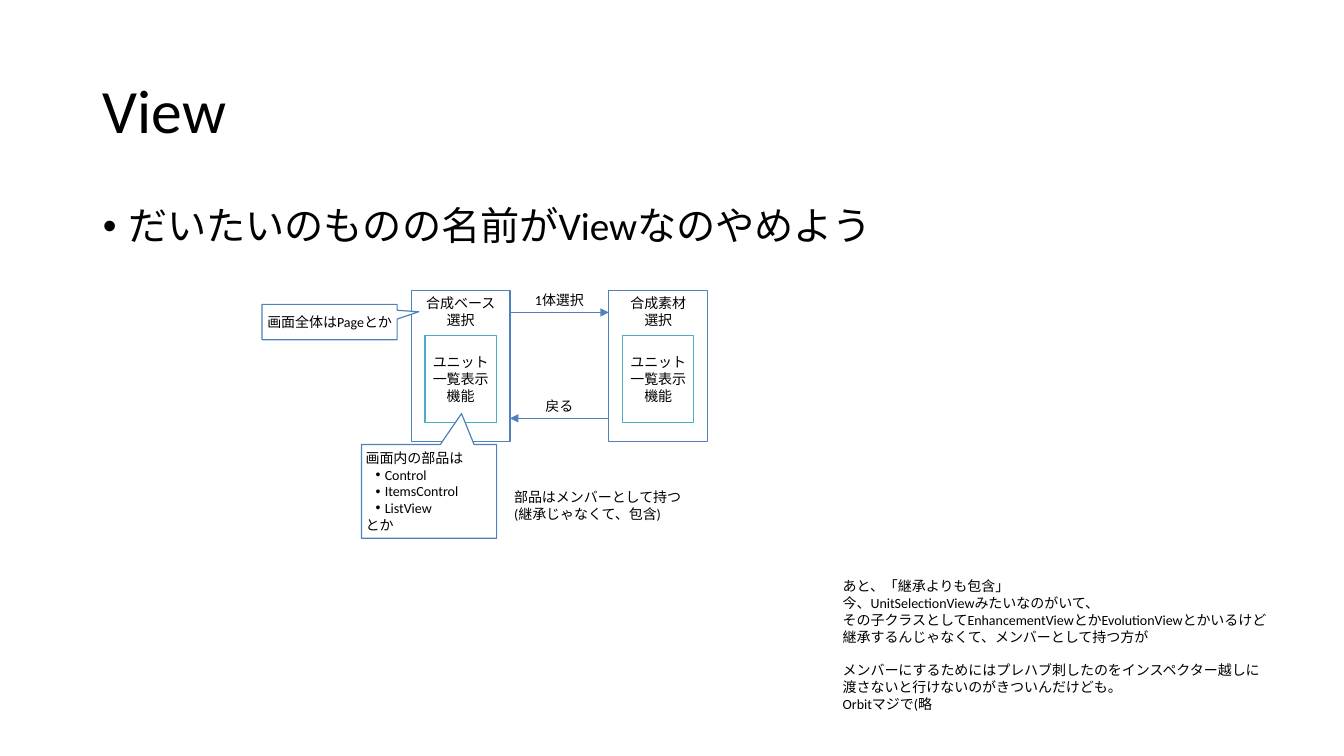
from pptx import Presentation
from pptx.dml.color import RGBColor
from pptx.enum.shapes import MSO_CONNECTOR, MSO_SHAPE
from pptx.enum.text import MSO_ANCHOR, MSO_AUTO_SIZE, PP_ALIGN
from pptx.oxml.ns import qn
from pptx.util import Inches, Pt
from lxml.etree import SubElement

deck = Presentation()
deck.slide_width, deck.slide_height = Inches(13.33), Inches(7.5)
slide = deck.slides.add_slide(deck.slide_layouts[1])
shapes = slide.shapes
hue = RGBColor.from_string
INK, PAPER, BLUE, TEAL = "000000", "FFFFFF", "4F81BD", "4BACC6"
LEFT, MID = PP_ALIGN.LEFT, PP_ALIGN.CENTER
TOP, HALF = MSO_ANCHOR.TOP, MSO_ANCHOR.MIDDLE


def area(*cells):
    """Turn percent of the slide (x, y, width, height) into lengths."""
    sides = (deck.slide_width, deck.slide_height) * 2
    return [int(side * cell / 100) for side, cell in zip(sides, cells)]


def box(kind, cells, text, line=BLUE, align=MID, anchor=HALF):
    """Add a small text box, or an outlined shape if a kind is given."""
    if kind is None:
        shape = shapes.add_textbox(*area(*cells))
    else:
        shape = shapes.add_shape(kind, *area(*cells))
        shape.shadow.inherit = False
        shape.fill.solid()
        shape.fill.fore_color.rgb = hue(PAPER)
        shape.line.color.rgb = hue(line)
        shape.line.width = Pt(0.85)
    frame = shape.text_frame
    frame.word_wrap = True
    frame.vertical_anchor = anchor
    frame.margin_left = frame.margin_right = Inches(0.04)
    frame.margin_top = frame.margin_bottom = Inches(0.04)
    frame.text = text
    for para in frame.paragraphs:
        para.alignment = align
        for run in para.runs:
            run.font.size, run.font.name = Pt(10), "Calibri"
            run.font.color.rgb = hue(INK)
    return shape


# Title and main point
title, body = slide.placeholders
for holder, cells, text, size, anchor in (
    (title, (6.9, 5.33, 86.25, 19.33), "View", 44, HALF),
    (body, (6.9, 26.67, 86.25, 63.47), "だいたいのものの名前がViewなのやめよう", 28, TOP),
):
    holder.left, holder.top, holder.width, holder.height = area(*cells)
    frame = holder.text_frame
    frame.text = text
    frame.auto_size = MSO_AUTO_SIZE.NONE
    frame.vertical_anchor = anchor
    para = frame.paragraphs[0]
    para.alignment, para.line_spacing = LEFT, 0.9
    font = para.runs[0].font
    font.size, font.name = Pt(size), "Calibri"
    font.color.rgb = hue(INK)
point = body.text_frame.paragraphs[0]
point.space_before = Pt(10)

# Two pages, one page width apart
wide, first = 7.35, 30.6
edge = first + wide
second = edge + wide
for left, name in ((first, "合成ベース\n選択"), (second, "合成素材\n選択")):
    box(MSO_SHAPE.RECTANGLE, (left, 38.4, wide, 20), name, anchor=TOP)

# Arrows between the pages, with their labels
for start, end, row, text, span in (
    (edge, second, 41.33, "1体選択", 4.3),
    (second, edge, 55.33, "戻る", 2.9),
):
    arrow = shapes.add_connector(
        MSO_CONNECTOR.STRAIGHT, *area(start, row, end, row))
    arrow.line.color.rgb = hue(BLUE)
    arrow.line.width = Pt(0.75)
    SubElement(arrow.line._get_or_add_ln(), qn("a:tailEnd"), type="triangle")
    SubElement(arrow._element.spPr, qn("a:effectLst"))
    label = edge + (wide - span) / 2
    box(None, (label, row - 3.25, span, 3.33), text, anchor=TOP)

# The shared part, centred in each page
part = 5.3
for left in (first, second):
    box(MSO_SHAPE.RECTANGLE, (left + (wide - part) / 2, 44.4, part, 11.5),
        "ユニット\n一覧表示\n機能", TEAL)

# Callouts
call = MSO_SHAPE.RECTANGULAR_CALLOUT
page = box(call, (19.5, 40.27, 10.05, 4.67), "画面全体はPageとか")
parts = box(call, (26.9, 58.8, 10.05, 12.4),
            "画面内の部品は\nControl\nItemsControl\nListView\nとか", align=LEFT)
for shape, tip in ((page, (0.66, -0.29)), (parts, (0.24, -0.83))):
    shape.adjustments[0], shape.adjustments[1] = tip

# Bullets
kinds = parts.text_frame.paragraphs[1:4]
for para, left, hang in [(point, 0.25, 0.25)] + [(p, 0.19, 0.09) for p in kinds]:
    props = para._p.get_or_add_pPr()
    props.set("marL", str(Inches(left)))
    props.set("indent", str(-Inches(hang)))
    SubElement(props, qn("a:buFont"), typeface="Arial")
    SubElement(props, qn("a:buChar"), char="•")

# Notes beside the diagram
note = box(None, (62.4, 75.87, 32.6, 19.07), "\n".join((
    "あと、「継承よりも包含」",
    "今、UnitSelectionViewみたいなのがいて、",
    "その子クラスとしてEnhancementViewとかEvolutionViewとかいるけど",
    "継承するんじゃなくて、メンバーとして持つ方が",
    "メンバーにするためにはプレハブ刺したのをインスペクター越しに",
    "渡さないと行けないのがきついんだけども。",
    "Orbitマジで(略",
)), align=LEFT, anchor=TOP)
note.text_frame.paragraphs[4].space_before = Pt(12)
box(None, (37.95, 64.13, 13.2, 5.6),
    "部品はメンバーとして持つ\n(継承じゃなくて、包含)", align=LEFT, anchor=TOP)

deck.save("out.pptx")
